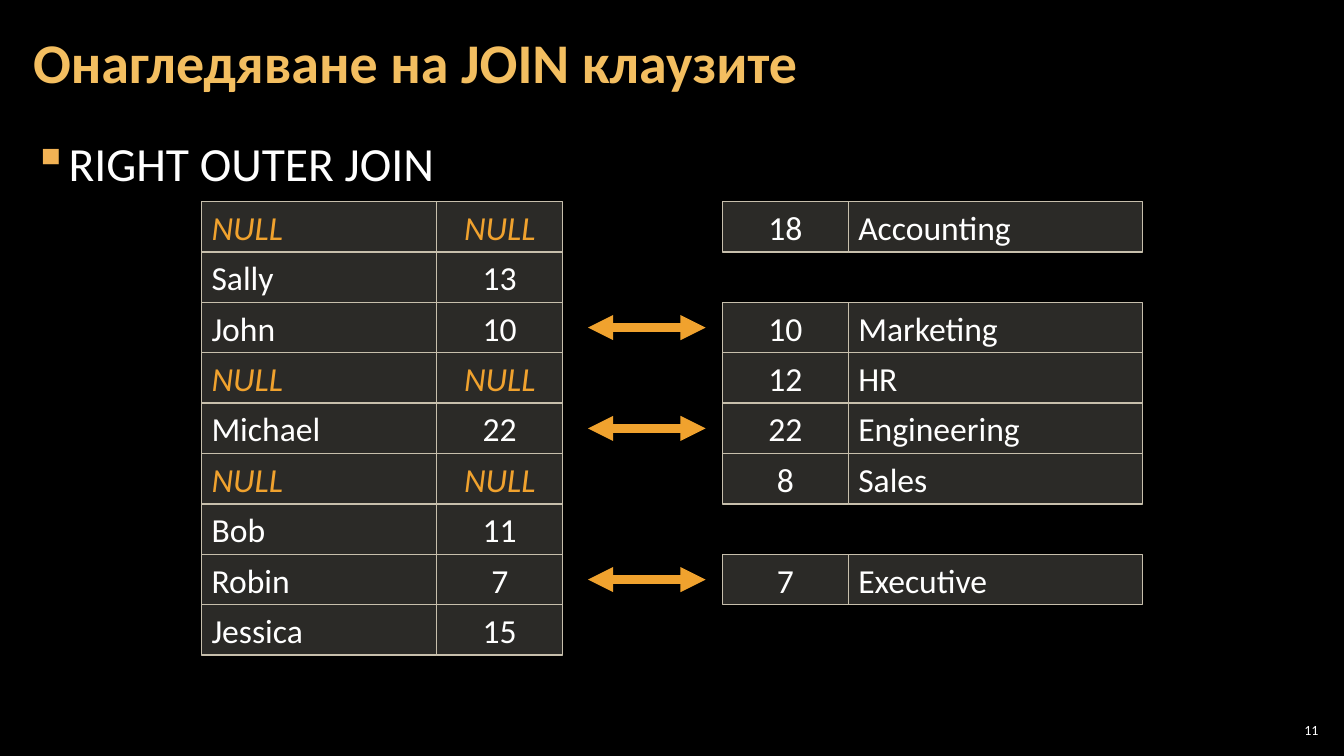
from lxml.etree import SubElement
from pptx import Presentation
from pptx.dml.color import RGBColor
from pptx.enum.shapes import MSO_CONNECTOR as Connector, MSO_SHAPE as Shape
from pptx.enum.text import MSO_ANCHOR as Anchor, PP_ALIGN as Align
from pptx.oxml.ns import qn
from pptx.util import Inches, Pt

BLACK = RGBColor(0x00, 0x00, 0x00)
WHITE = RGBColor(0xFF, 0xFF, 0xFF)
GOLD = RGBColor(0xF3, 0xBE, 0x60)
BULLET_GOLD = RGBColor(0xF2, 0xB2, 0x54)
ORANGE = RGBColor(0xF0, 0xA2, 0x2E)
CELL_FILL = RGBColor(0xD9, 0xD5, 0xC7)
CELL_LINE = RGBColor(0xC7, 0xBF, 0xAC)

WIDTH, HEIGHT = Inches(13.33), Inches(7.5)
COLUMN, ROW = WIDTH / 160, HEIGHT / 15
FIRST_ROW = 4
NAME, PERSON_KEY, DEPARTMENT_KEY, DEPARTMENT = (24, 28), (52, 15), (86, 15), (101, 35)
ARROW_START, ARROW_END = 70, 84

JOINED_ROWS = [
    ("NULL", "NULL", "18", "Accounting"),
    ("Sally", "13", None, None),
    ("John", "10", "10", "Marketing"),
    ("NULL", "NULL", "12", "HR"),
    ("Michael", "22", "22", "Engineering"),
    ("NULL", "NULL", "8", "Sales"),
    ("Bob", "11", None, None),
    ("Robin", "7", "7", "Executive"),
    ("Jessica", "15", None, None),
]


def apply_format(target, values):
    """Set each named attribute on the target."""
    for name, value in values.items():
        setattr(target, name, value)


def place(column, row, columns, rows):
    """Turn grid units into left, top, width and height."""
    return [round(n) for n in (column * COLUMN, row * ROW, columns * COLUMN, rows * ROW)]


def write_text(shape, text, size, color, align=Align.LEFT, **font_values):
    """Write one formatted paragraph and return it."""
    paragraph = shape.text_frame.paragraphs[0]
    paragraph.alignment = align
    run = paragraph.add_run()
    run.text = text
    apply_format(run.font, {"name": "Calibri", "size": Pt(size), **font_values})
    run.font.color.rgb = color
    return paragraph


def add_text(slide, area, margin, anchor, *text_values, **font_values):
    """Add a wrapping text box and return its paragraph."""
    box = slide.shapes.add_textbox(*place(*area))
    apply_format(box.text_frame, {
        "word_wrap": True, "vertical_anchor": anchor,
        "margin_left": Inches(margin), "margin_right": Inches(margin),
        "margin_top": Inches(0.04), "margin_bottom": Inches(0.04),
    })
    return write_text(box, *text_values, **font_values)


def add_bullet(paragraph):
    """Give the paragraph a hanging square bullet."""
    properties = paragraph._p.get_or_add_pPr()
    properties.set("marL", str(Inches(0.33)))
    properties.set("indent", str(-Inches(0.33)))
    color = SubElement(properties, qn("a:buClr"))
    SubElement(color, qn("a:srgbClr"), val=str(BULLET_GOLD))
    SubElement(properties, qn("a:buChar"), char="▪")


def add_cell(slide, span, row, text, align):
    """Add one translucent cell, with NULL values in orange italics."""
    column, columns = span
    cell = slide.shapes.add_shape(Shape.RECTANGLE, *place(column, row, columns, 1))
    cell.shadow.inherit = False
    cell.fill.solid()
    cell.fill.fore_color.rgb = CELL_FILL
    color = cell.fill._xPr.find(qn("a:solidFill"))[0]
    SubElement(color, qn("a:alpha"), val="20000")
    cell.line.color.rgb = CELL_LINE
    cell.line.width = Pt(1)
    cell.text_frame.vertical_anchor = Anchor.MIDDLE
    is_null = text == "NULL"
    write_text(cell, text, 24, ORANGE if is_null else WHITE, align, italic=is_null)


def add_match_arrow(slide, row):
    """Join two matching keys with a double-headed arrow."""
    left, top, width, _ = place(ARROW_START, row + 0.5, ARROW_END - ARROW_START, 0)
    arrow = slide.shapes.add_connector(Connector.STRAIGHT, left, top, left + width, top)
    arrow.line.color.rgb = ORANGE
    arrow.line.width = Pt(6)
    line = arrow.line._get_or_add_ln()
    for end in ("a:headEnd", "a:tailEnd"):
        SubElement(line, qn(end), type="triangle")
    SubElement(arrow._element.spPr, qn("a:effectLst"))


def add_joined_rows(slide):
    """Lay out both sides of the join and link equal keys."""
    spans = (NAME, PERSON_KEY, DEPARTMENT_KEY, DEPARTMENT)
    aligns = (Align.LEFT, Align.CENTER, Align.CENTER, Align.LEFT)
    for row, values in enumerate(JOINED_ROWS, FIRST_ROW):
        for span, text, align in zip(spans, values, aligns):
            if text:
                add_cell(slide, span, row, text, align)
        if values[1] == values[2]:
            add_match_arrow(slide, row)


def main():
    """Build and save the slide."""
    presentation = Presentation()
    apply_format(presentation, {"slide_width": WIDTH, "slide_height": HEIGHT})
    slide = presentation.slides.add_slide(presentation.slide_layouts[6])
    slide.background.fill.solid()
    slide.background.fill.fore_color.rgb = BLACK

    title = add_text(slide, (2.5, 0.08, 155, 2.42), 0.12, Anchor.MIDDLE,
                     "Онагледяване на JOIN клаузите", 40, GOLD, bold=True)
    title.line_spacing = 0.9
    topic = add_text(slide, (2.5, 2.52, 155, 12.18), 0.12, Anchor.TOP,
                     "RIGHT OUTER JOIN", 34, WHITE)
    add_bullet(topic)
    apply_format(topic, {"line_spacing": 1.05, "space_after": Pt(6)})
    add_joined_rows(slide)
    add_text(slide, (151.8, 14.28, 5.64, 0.42), 0.04, Anchor.MIDDLE,
             "11", 10, WHITE, Align.RIGHT)
    presentation.save("out.pptx")


if __name__ == "__main__":
    main()
